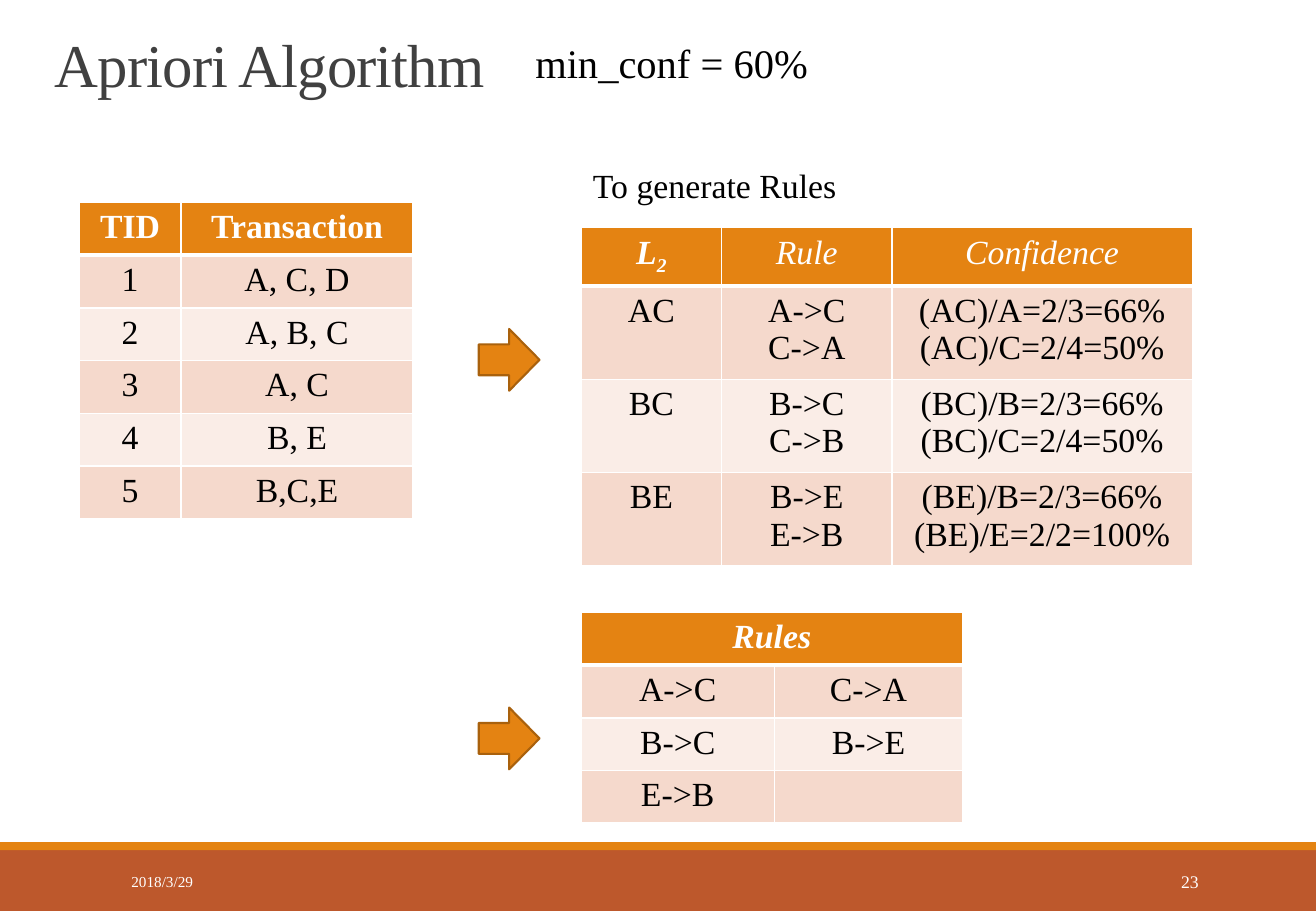
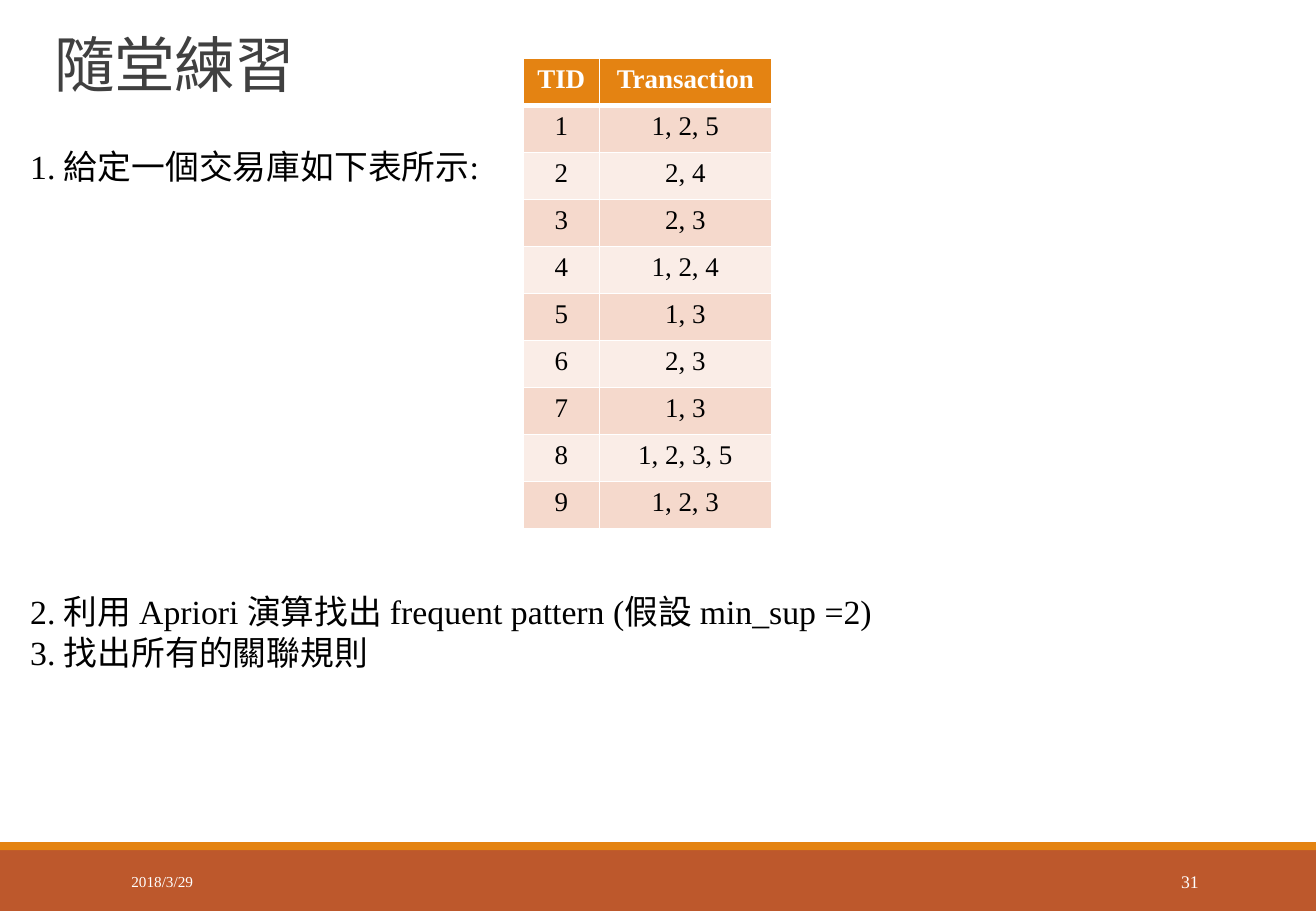
from lxml import etree
from pptx import Presentation
from pptx.dml.color import RGBColor
from pptx.enum.shapes import MSO_SHAPE
from pptx.enum.text import MSO_ANCHOR, MSO_AUTO_SIZE, PP_ALIGN
from pptx.oxml.ns import qn
from pptx.util import Emu, Pt

RECT, ARROW = MSO_SHAPE.RECTANGLE, MSO_SHAPE.RIGHT_ARROW
TOP, MIDDLE, BOTTOM = MSO_ANCHOR.TOP, MSO_ANCHOR.MIDDLE, MSO_ANCHOR.BOTTOM
LEFT, CENTER, RIGHT = PP_ALIGN.LEFT, PP_ALIGN.CENTER, PP_ALIGN.RIGHT
FIXED = MSO_AUTO_SIZE.NONE

FONT = "Times New Roman"
WHITE, BLACK, GRAY = "FFFFFF", "000000", "404040"
ORANGE, RUST, BROWN = "E48312", "BD582C", "A9610D"
BANDS = ("FAEDE7", "F5D9CC")
ITALIC = {"italic": True}
LIGHT = {"italic": True, "bold": False}


def px(count):
    """Turn pixels, 120 to the inch, into EMU."""
    return Emu(round(count * 7620))


def paint(target, color):
    target.solid()
    target.fore_color.rgb = RGBColor.from_string(color)


def write(frame, text, size=20, color=BLACK, bold=False, italic=False,
          align=LEFT, lead=None, track=0, sub="", gaps=()):
    """Fill a frame, one paragraph a line; gaps gives points above lines."""
    for num, line in enumerate(text.split("\n")):
        par = frame.add_paragraph() if num else frame.paragraphs[0]
        par.alignment = align
        if lead:
            par.line_spacing = lead
        if num < len(gaps) and gaps[num]:
            par.space_before = Pt(gaps[num])
        for part, base in ((line, 0), (sub, -25000)):
            if not part:
                continue
            run = par.add_run()
            run.text = part
            font = run.font
            font.name, font.size = FONT, Pt(size)
            font.bold, font.italic = bold, italic
            font.color.rgb = RGBColor.from_string(color)
            props = run._r.get_or_add_rPr()
            if base:
                props.set("baseline", str(base))
            if track:
                props.set("spc", str(track))


def label(slide, box, text, wrap=True, anchor=TOP, **style):
    frame = slide.shapes.add_textbox(*map(px, box)).text_frame
    frame.word_wrap = wrap
    frame.vertical_anchor = anchor
    write(frame, text, **style)


def shape(slide, kind, box, fill, line=None):
    item = slide.shapes.add_shape(kind, *map(px, box))
    item.shadow.inherit = False
    paint(item.fill, fill)
    if line:
        paint(item.line.fill, line)
        item.line.width = Pt(1.25)
    else:
        item.line.fill.background()


def edge(cell, side, width):
    line = etree.Element(qn("a:ln" + side), w=str(Pt(width)))
    fill = etree.SubElement(line, qn("a:solidFill"))
    etree.SubElement(fill, qn("a:srgbClr"), val=WHITE)
    cell._tc.get_or_add_tcPr().append(line)


def grid(slide, spot, cols, high, rows, head=None, size=20):
    """Draw a table; a cell is text, (text, style), or None to merge left."""
    box = (*spot, sum(cols), high)
    table = slide.shapes.add_table(len(rows), len(cols),
                                   *map(px, box)).table
    head = head or high / len(rows)
    body = (high - head) / (len(rows) - 1)
    for col, wide in zip(table.columns, cols):
        col.width = px(wide)
    for y, row in enumerate(rows):
        table.rows[y].height = px(body if y else head)
        for x, value in enumerate(row):
            cell = table.cell(y, x)
            for side in "LRTB":
                thick = (y, side) in ((0, "B"), (1, "T"))
                edge(cell, side, 3 if thick else 1)
            paint(cell.fill, BANDS[y % 2] if y else ORANGE)
            if value is None:
                table.cell(y, x - 1).merge(cell)
                continue
            text, extra = value if isinstance(value, tuple) else (value, {})
            style = {"color": BLACK if y else WHITE, "bold": y == 0, **extra}
            write(cell.text_frame, text, size=size, align=CENTER, **style)


def trades(slide, spot, cols, high, items, **style):
    """Draw a table of numbered transactions."""
    rows = [(str(num), item) for num, item in enumerate(items, 1)]
    grid(slide, spot, cols, high, [("TID", "Transaction"), *rows], **style)


def start(deck, title, page):
    """Add a slide with its title, bands and footer."""
    slide = deck.slides.add_slide(deck.slide_layouts[5])
    shape(slide, RECT, (0, 840, 1300, 60), RUST)
    shape(slide, RECT, (0, 832, 1300, 8), ORANGE)
    label(slide, (118, 847, 264, 48), "2018/3/29", anchor=MIDDLE,
          size=9, color=WHITE)
    label(slide, (1056, 847, 140, 48), page, anchor=MIDDLE,
          size=10.5, color=WHITE, align=RIGHT)
    head = slide.shapes.title
    head.left, head.top, head.width, head.height = map(px, (42, 23, 1073, 82))
    frame = head.text_frame
    frame.auto_size, frame.vertical_anchor = FIXED, BOTTOM
    write(frame, title, size=36, color=GRAY, lead=0.85, track=-50)
    return slide


def rules(deck):
    slide = start(deck, "Apriori Algorithm", "23")
    label(slide, (517, 32, 296, 60), "min_conf = 60%", wrap=False, size=24)
    label(slide, (574, 157, 266, 53), "To generate Rules", wrap=False)
    trades(slide, (78, 200), (101, 229), 294,
           ("A, C, D", "A, B, C", "A, C", "B, E", "B,C,E"))
    for top in (325, 699):
        shape(slide, ARROW, (473, top, 60, 61), ORANGE, BROWN)
    grid(slide, (574, 225), (139, 168, 297), 333, [
        (("L", {"italic": True, "sub": "2"}),
         ("Rule", LIGHT), ("Confidence", LIGHT)),
        ("AC", "A->C\nC->A", "(AC)/A=2/3=66%\n(AC)/C=2/4=50%"),
        ("BC", "B->C\nC->B", "(BC)/B=2/3=66%\n(BC)/C=2/4=50%"),
        ("BE", "B->E\nE->B", "(BE)/B=2/3=66%\n(BE)/E=2/2=100%"),
    ], head=57)
    grid(slide, (574, 605), (191, 186), 208, [
        (("Rules", ITALIC), None),
        ("A->C", "C->A"),
        ("B->C", "B->E"),
        ("E->B", ""),
    ])


def drill(deck):
    slide = start(deck, "隨堂練習", "31")
    label(slide, (18, 138, 970, 538),
          "1. 給定一個交易庫如下表所示:\n"
          "2. 利用 Apriori 演算找出 frequent pattern (假設 min_sup =2)\n"
          "3. 找出所有的關聯規則", gaps=(0, 240))
    trades(slide, (517, 58), (75, 170), 464,
           ("1, 2, 5", "2, 4", "2, 3", "1, 2, 4", "1, 3",
            "2, 3", "1, 3", "1, 2, 3, 5", "1, 2, 3"), size=16)


def main():
    deck = Presentation()
    deck.slide_width, deck.slide_height = px(1300), px(900)
    rules(deck)
    drill(deck)
    deck.save("out.pptx")


if __name__ == "__main__":
    main()
